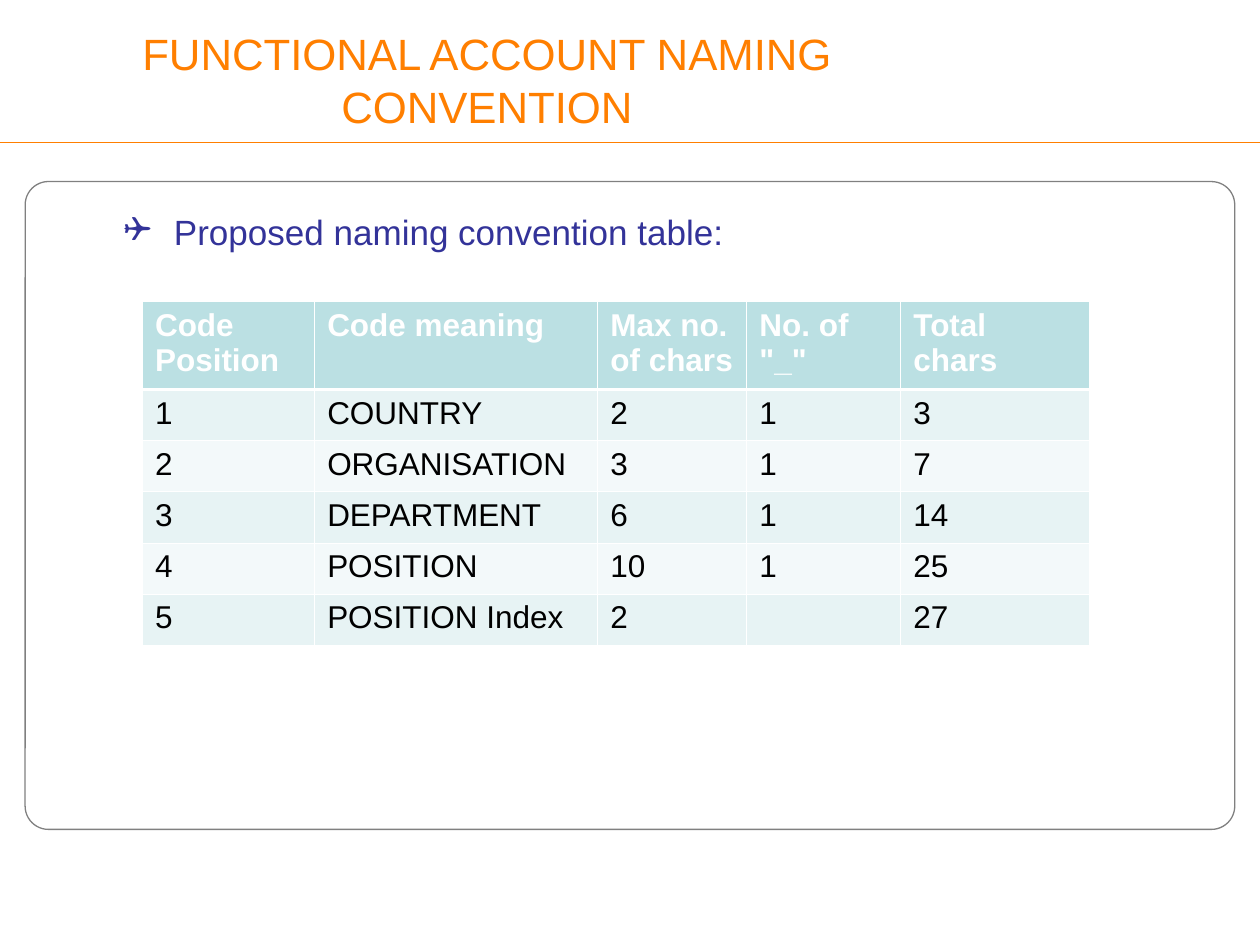
from lxml import etree
from pptx import Presentation
from pptx.dml.color import RGBColor
from pptx.enum.shapes import MSO_CONNECTOR, MSO_SHAPE
from pptx.enum.text import MSO_ANCHOR, MSO_AUTO_SIZE, PP_ALIGN
from pptx.oxml.ns import qn
from pptx.util import Pt

COLORS = {
    "accent": "FF7F00",
    "frame": "808080",
    "body": "333399",
    "white": "FFFFFF",
    "black": "000000",
    "header": "BBE0E3",
    "odd": "E7F3F4",
    "even": "F3F9FA",
}
SLIDE_WIDTH, SLIDE_HEIGHT = 720, 538.58
COLUMN_WIDTHS = [98.4, 161.8, 85.2, 88, 108]
HEADER_HEIGHT, ROW_HEIGHT = 50.3, 29.2
CODE_ROWS = [
    ["Code Position", "Code meaning", "Max no. of chars", 'No. of "_"', "Total chars"],
    ["1", "COUNTRY", "2", "1", "3"],
    ["2", "ORGANISATION", "3", "1", "7"],
    ["3", "DEPARTMENT", "6", "1", "14"],
    ["4", "POSITION", "10", "1", "25"],
    ["5", "POSITION Index", "2", "", "27"],
]


def rgb(name):
    """Return the named palette colour."""
    return RGBColor.from_string(COLORS[name])


def style_text(paragraph, size, color, bold=False):
    """Format every run of a paragraph."""
    for run in paragraph.runs:
        run.font.name = "Arial"
        run.font.size = Pt(size)
        run.font.bold = bold
        run.font.color.rgb = rgb(color)


def prepare_frame(frame, margin):
    """Make a text frame wrap at a fixed size, with equal insets."""
    frame.word_wrap = True
    frame.auto_size = MSO_AUTO_SIZE.NONE
    frame.margin_left = frame.margin_right = Pt(margin)
    frame.margin_top = frame.margin_bottom = Pt(margin)


def add_heading(slide, left, top, width, height):
    """Place the title and the rule that runs below it."""
    title = slide.shapes.title
    title.left, title.top = Pt(left), Pt(top)
    title.width, title.height = Pt(width), Pt(height)
    frame = title.text_frame
    frame.text = "FUNCTIONAL ACCOUNT NAMING CONVENTION"
    prepare_frame(frame, 0)
    frame.vertical_anchor = MSO_ANCHOR.MIDDLE
    frame.paragraphs[0].alignment = PP_ALIGN.CENTER
    style_text(frame.paragraphs[0], 25, "accent")

    rule_y = Pt(top + height + 7.2)
    rule = slide.shapes.add_connector(
        MSO_CONNECTOR.STRAIGHT, 0, rule_y, Pt(SLIDE_WIDTH), rule_y
    )
    rule.line.color.rgb = rgb("accent")
    rule.line.width = Pt(0.75)
    etree.SubElement(rule._element.spPr, qn("a:effectLst"))


def add_panel(slide, left, top, width, height):
    """Place the rounded frame around the content."""
    panel = slide.shapes.add_shape(
        MSO_SHAPE.ROUNDED_RECTANGLE, Pt(left), Pt(top), Pt(width), Pt(height)
    )
    panel.adjustments[0] = 0.036
    panel.shadow.inherit = False
    panel.fill.background()
    panel.line.color.rgb = rgb("frame")
    panel.line.width = Pt(0.75)


def add_intro(slide, left, top, width, height):
    """Place the bulleted line above the table."""
    intro = slide.shapes.add_textbox(Pt(left), Pt(top), Pt(width), Pt(height))
    frame = intro.text_frame
    prepare_frame(frame, 28.2)
    frame.vertical_anchor = MSO_ANCHOR.TOP
    frame.text = "Proposed naming convention table:"
    line = frame.paragraphs[0]
    properties = line._p.get_or_add_pPr()
    properties.set("marL", str(Pt(71.2)))
    properties.set("indent", str(Pt(-28.8)))
    bullet_color = etree.SubElement(properties, qn("a:buClr"))
    etree.SubElement(bullet_color, qn("a:srgbClr"), val=COLORS["body"])
    etree.SubElement(properties, qn("a:buFont"), typeface="Wingdings")
    etree.SubElement(properties, qn("a:buChar"), char="❑")
    style_text(line, 20, "body")


def set_borders(cell, top, bottom):
    """Draw white cell borders, with the given top and bottom widths."""
    properties = cell._tc.get_or_add_tcPr()
    widths = {"lnL": 0.45, "lnR": 0.45, "lnT": top, "lnB": bottom}
    for position, (side, width) in enumerate(widths.items()):
        border = etree.Element(qn(f"a:{side}"), w=str(Pt(width)))
        fill = etree.SubElement(border, qn("a:solidFill"))
        etree.SubElement(fill, qn("a:srgbClr"), val=COLORS["white"])
        properties.insert(position, border)


def add_code_table(slide, left, top):
    """Place the table of code positions and their lengths."""
    height = HEADER_HEIGHT + ROW_HEIGHT * (len(CODE_ROWS) - 1)
    table = slide.shapes.add_table(
        len(CODE_ROWS), len(COLUMN_WIDTHS),
        Pt(left), Pt(top), Pt(sum(COLUMN_WIDTHS)), Pt(height),
    ).table
    table.horz_banding = False
    for column, width in zip(table.columns, COLUMN_WIDTHS):
        column.width = Pt(width)
    for index, values in enumerate(CODE_ROWS):
        is_header = index == 0
        band = "header" if is_header else ("even", "odd")[index % 2]
        table.rows[index].height = Pt(HEADER_HEIGHT if is_header else ROW_HEIGHT)
        for cell, value in zip(table.rows[index].cells, values):
            cell.text = value
            cell.fill.solid()
            cell.fill.fore_color.rgb = rgb(band)
            set_borders(cell, 1.47 if index == 1 else 0.45, 1.47 if is_header else 0.45)
            style_text(
                cell.text_frame.paragraphs[0], 18,
                "white" if is_header else "black", is_header,
            )


def main():
    """Build and save the slide."""
    deck = Presentation()
    deck.slide_width, deck.slide_height = Pt(SLIDE_WIDTH), Pt(SLIDE_HEIGHT)
    deck.element.sldSz.attrib.pop("type", None)
    slide = deck.slides.add_slide(deck.slide_layouts[5])
    add_panel(slide, 14.4, 103.7, 691.2, 370)
    add_heading(slide, 19.4, 16.6, 517.7, 57.6)
    add_intro(slide, 0, 92.2, SLIDE_WIDTH, 406)
    add_code_table(slide, 81.4, 172.2)
    deck.save("out.pptx")


if __name__ == "__main__":
    main()
